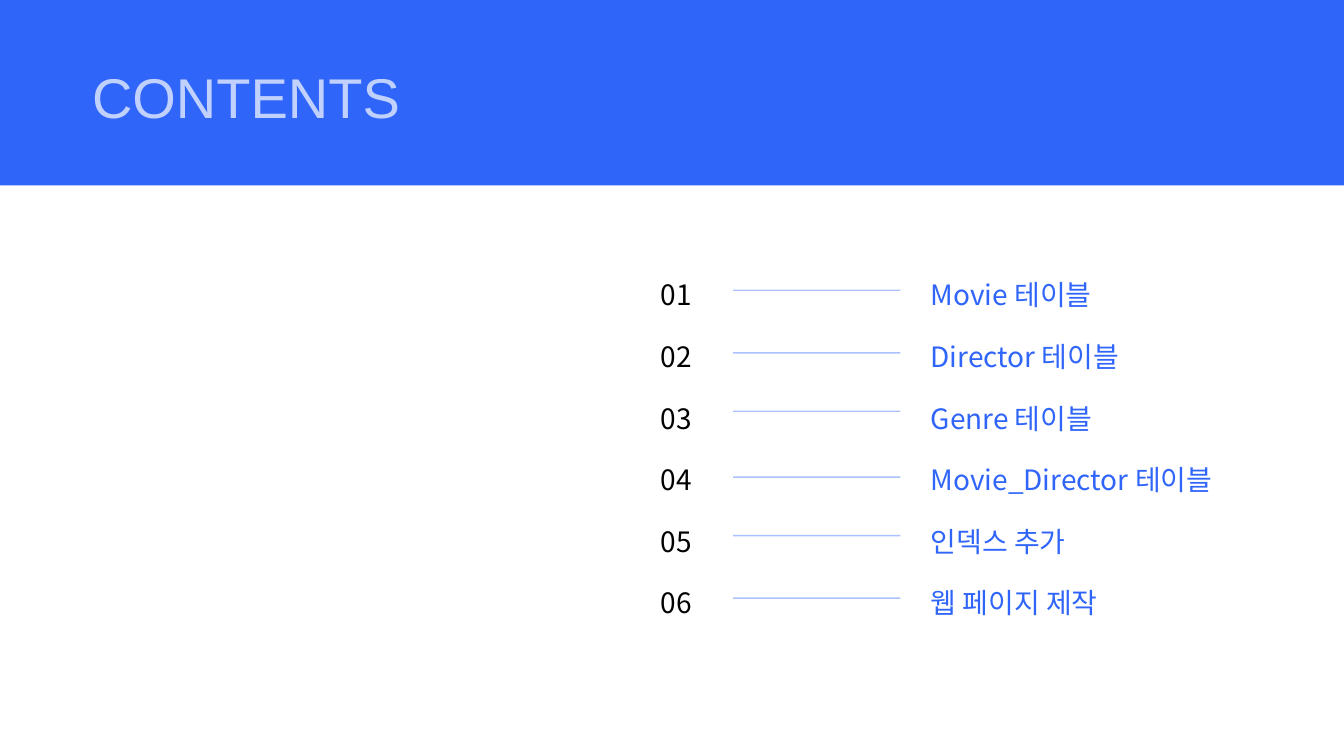
from typing import NamedTuple

from lxml.etree import SubElement
from pptx import Presentation
from pptx.dml.color import RGBColor
from pptx.dml.fill import FillFormat
from pptx.enum.shapes import MSO_CONNECTOR as Connector
from pptx.enum.shapes import MSO_SHAPE as Shape
from pptx.oxml.ns import qn
from pptx.slide import Slide
from pptx.util import Inches, Pt

BLUE = RGBColor(0x30, 0x65, 0xFA)
WHITE = RGBColor(0xFF, 0xFF, 0xFF)
BLACK = RGBColor(0x00, 0x00, 0x00)
NOTO = "Noto Sans CJK SC"


class Entry(NamedTuple):
    title: str
    font: str
    line_y: float


class TextLine(NamedTuple):
    text: str
    font: str


class TextStyle(NamedTuple):
    size: int
    line_height: int
    color: RGBColor
    opacity: int = 100


ENTRIES = [
    Entry("Movie 테이블", NOTO, 4.32),
    Entry("Director 테이블", NOTO, 5.25),
    Entry("Genre 테이블", NOTO, 6.12),
    Entry("Movie_Director 테이블", NOTO, 7.1),
    Entry("인덱스 추가", "Calibri", 7.97),
    Entry("웹 페이지 제작", "Calibri", 8.9),
]
LINE_LEFT, LINE_RIGHT = 10.91, 13.4


def set_solid(fill: FillFormat, color: RGBColor, opacity: int) -> None:
    """Fill with a color; opacity is in percent."""
    fill.solid()
    fill.fore_color.rgb = color
    if opacity < 100:
        for element in fill._xPr.iter(qn("a:srgbClr")):
            SubElement(element, qn("a:alpha"), val=str(opacity * 1000))


def add_text(slide: Slide, left: float, top: float, width: float, height: float,
             lines: list[TextLine], style: TextStyle) -> None:
    box = slide.shapes.add_textbox(Inches(left), Inches(top), Inches(width), Inches(height))
    frame = box.text_frame
    frame.word_wrap = True
    frame.margin_left = frame.margin_right = frame.margin_top = frame.margin_bottom = 0
    frame.text = "\n".join(line.text for line in lines)
    for para, line in zip(frame.paragraphs, lines):
        para.line_spacing = Pt(style.line_height)
        for span in para.runs:
            span.font.size = Pt(style.size)
            span.font.name = line.font
            set_solid(span.font.fill, style.color, style.opacity)


def add_leader(slide: Slide, y: float) -> None:
    """Draw the pale line between a number and its title."""
    leader = slide.shapes.add_connector(
        Connector.STRAIGHT, Inches(LINE_LEFT), Inches(y), Inches(LINE_RIGHT), Inches(y))
    leader.line.width = Pt(1.5)
    set_solid(leader.line.fill, BLUE, 40)
    SubElement(leader._element.spPr, qn("a:effectLst"))


def add_banner(slide: Slide) -> None:
    banner = slide.shapes.add_shape(Shape.RECTANGLE, 0, 0, Inches(20), Inches(2.76))
    banner.shadow.inherit = False
    set_solid(banner.fill, BLUE, 100)
    banner.line.fill.background()


def main() -> None:
    deck = Presentation()
    deck.slide_width, deck.slide_height = Inches(20), Inches(11.25)
    page = deck.slides.add_slide(deck.slide_layouts[6])

    titles = [TextLine(entry.title, entry.font) for entry in ENTRIES]
    numbers = [TextLine(f"{n:02}", NOTO) for n in range(1, len(ENTRIES) + 1)]
    add_text(page, 13.85, 3.72, 4.41, 5.41, titles, TextStyle(30, 66, BLUE))
    add_banner(page)
    add_text(page, 1.37, 0.76, 5.13, 1.12, [TextLine("CONTENTS", "Arial")],
             TextStyle(60, 84, WHITE, 70))
    add_text(page, 9.83, 3.72, 0.62, 5.43, numbers, TextStyle(30, 66, BLACK))
    for entry in ENTRIES:
        add_leader(page, entry.line_y)

    deck.save("out.pptx")


if __name__ == "__main__":
    main()
